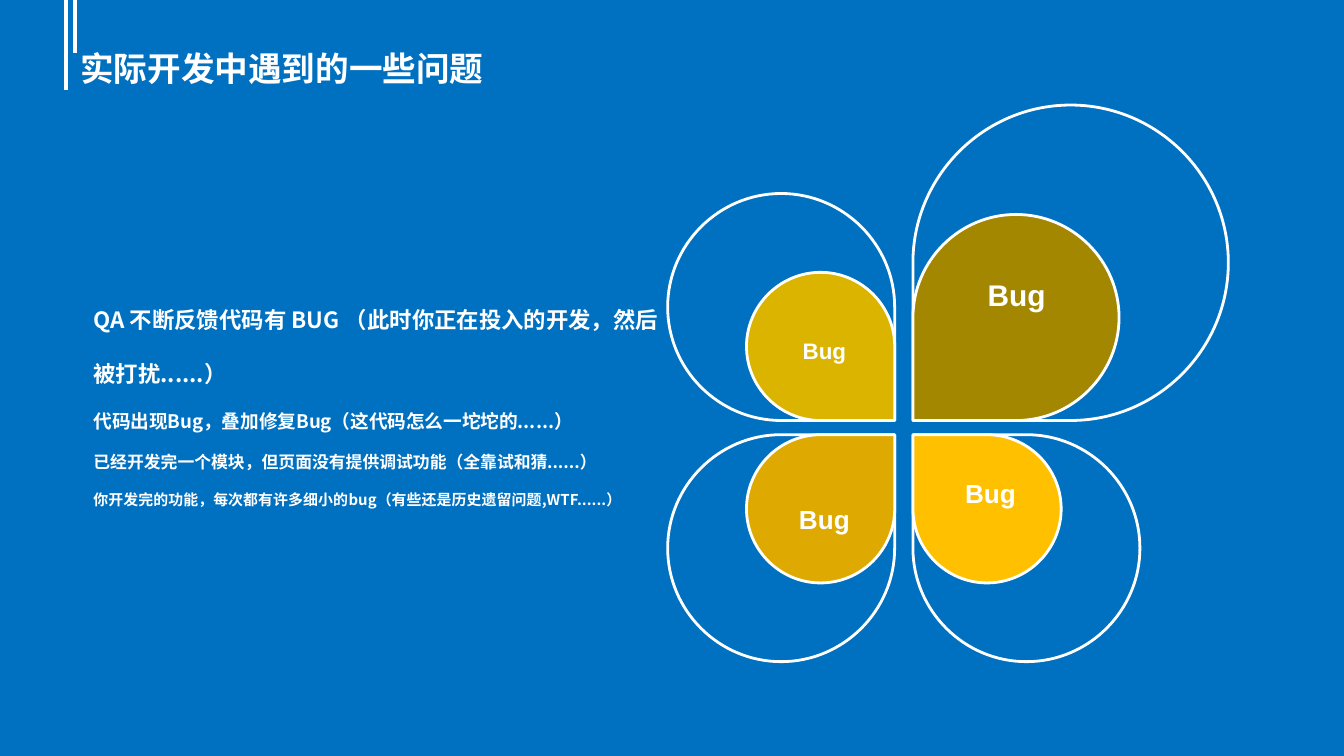
from dataclasses import dataclass

from lxml import etree
from pptx import Presentation
from pptx.dml.color import RGBColor
from pptx.enum.shapes import MSO_CONNECTOR
from pptx.enum.text import MSO_ANCHOR, MSO_AUTO_SIZE, PP_ALIGN
from pptx.oxml.ns import qn
from pptx.util import Pt

STRAIGHT = MSO_CONNECTOR.STRAIGHT
LEFT, CENTER = PP_ALIGN.LEFT, PP_ALIGN.CENTER
TOP, MIDDLE = MSO_ANCHOR.TOP, MSO_ANCHOR.MIDDLE
FIT_TEXT, FIXED = MSO_AUTO_SIZE.SHAPE_TO_FIT_TEXT, MSO_AUTO_SIZE.NONE
ARC_PULL = 0.55  # control point distance for a quarter circle
ROUND_LEGS = (0, 3, 4)  # legs of a petal outline that are arcs


@dataclass(frozen=True)
class Theme:
    background: str = "0070C0"
    white: str = "FFFFFF"
    olive: str = "A48700"
    amber: str = "FFC000"
    ochre: str = "DEA900"
    mustard: str = "DBB400"
    title_font: str = "DejaVu Sans"
    label_font: str = "Arial"
    chinese_font: str = "Noto Sans CJK SC"
    title_size: int = 18
    body_sizes: tuple = (12, 10, 9, 8)
    rule_width: float = 2.25
    outline_width: float = 1.5


def color(value):
    return RGBColor.from_string(value)


def write(para, text, *, size, font, ea_font, text_color, align=LEFT, spacing=None):
    """Add one bold run with its paragraph format."""
    para.alignment = align
    if spacing:
        para.line_spacing = spacing
    span = para.add_run()
    span.text = text
    span.font.size = Pt(size)
    span.font.bold = True
    span.font.name = font
    span.font.color.rgb = color(text_color)
    east_asian = etree.SubElement(span.font._element, qn("a:ea"))
    east_asian.set("typeface", ea_font)


def round_legs(shape):
    """Turn the round legs of a petal outline into quarter circles."""
    outline = next(shape._element.iter(qn("a:path")))
    middle = int(outline.get("w")) / 2, int(outline.get("h")) / 2
    points = [(int(point.get("x")), int(point.get("y")))
              for point in outline.iter(qn("a:pt"))]
    legs = outline.findall(qn("a:lnTo"))
    for index in ROUND_LEGS:
        start, end = points[index], points[index + 1]
        corner = [a + b - m for a, b, m in zip(start, end, middle)]
        controls = [[p + ARC_PULL * (c - p) for p, c in zip(point, corner)]
                    for point in (start, end)]
        curve = etree.Element(qn("a:cubicBezTo"))
        for x, y in (*controls, end):
            etree.SubElement(curve, qn("a:pt"), x=str(round(x)), y=str(round(y)))
        outline.replace(legs[index], curve)


class SlideBuilder:
    def __init__(self, slide, theme):
        self.slide = slide
        self.theme = theme
        fill = slide.background.fill
        fill.solid()
        fill.fore_color.rgb = color(theme.background)

    def outline(self, line, width):
        line.color.rgb = color(self.theme.white)
        line.width = Pt(width)

    def rule(self, x, length):
        """Vertical line hanging from the top edge."""
        rule = self.slide.shapes.add_connector(STRAIGHT, Pt(x), 0, Pt(x), Pt(length))
        self.outline(rule.line, self.theme.rule_width)
        etree.SubElement(rule._element.spPr, qn("a:effectLst"))

    def petal(self, tip, direction, size, fill=None):
        """Circle with one square corner at tip, spreading along direction."""
        half = size / 2
        start, *stops = [
            (Pt(tip[0] + direction[0] * u * half), Pt(tip[1] + direction[1] * v * half))
            for u, v in [(1, 2), (0, 1), (0, 0), (1, 0), (2, 1), (1, 2)]
        ]
        builder = self.slide.shapes.build_freeform(*start, scale=1.0)
        builder.add_line_segments(stops, close=True)
        petal = builder.convert_to_shape()
        round_legs(petal)
        petal.shadow.inherit = False
        if fill:
            petal.fill.solid()
            petal.fill.fore_color.rgb = color(fill)
        else:
            petal.fill.background()
        self.outline(petal.line, self.theme.outline_width)

    def text(self, left, top, width, height, lines, *, font, ea_font=None,
             align=LEFT, anchor=TOP, spacing=None, fit=FIT_TEXT):
        """Text box with one paragraph for each (text, size) pair."""
        box = self.slide.shapes.add_textbox(Pt(left), Pt(top), Pt(width), Pt(height))
        frame = box.text_frame
        frame.word_wrap = True
        frame.auto_size = fit
        frame.vertical_anchor = anchor
        for index, (text, size) in enumerate(lines):
            para = frame.add_paragraph() if index else frame.paragraphs[0]
            write(para, text, size=size, font=font, ea_font=ea_font or font,
                  text_color=self.theme.white, align=align, spacing=spacing)


def main():
    theme = Theme()
    deck = Presentation()
    deck.slide_width, deck.slide_height = Pt(720), Pt(405)
    page = SlideBuilder(deck.slides.add_slide(deck.slide_layouts[6]), theme)

    # Title with its two rules
    page.rule(35.4, 48.2)
    page.rule(40.2, 28.2)
    page.text(36, 16.6, 648, 40, [("实际开发中遇到的一些问题", theme.title_size)],
              font=theme.title_font, ea_font=theme.chinese_font,
              anchor=MIDDLE, fit=FIXED)

    # Petals: direction, outer size, inner size, inner fill
    petals = [
        ((1, -1), 169, 110.4, theme.olive),
        ((1, 1), 121.6, 79.4, theme.amber),
        ((-1, 1), 121.6, 79.4, theme.ochre),
        ((-1, -1), 121.6, 79.4, theme.mustard),
    ]
    center_x, center_y, gap_x, gap_y = 484.2, 229.1, 9.8, 7.6

    def tip(direction):
        return center_x + direction[0] * gap_x / 2, center_y + direction[1] * gap_y / 2

    for direction, outer, _, _ in petals:
        page.petal(tip(direction), direction, outer)
    for direction, _, inner, fill in petals:
        page.petal(tip(direction), direction, inner, fill)

    # Petal labels: left, top, height, type size
    for left, top, height, size in [
        (399.9, 177.2, 21.6, 12),
        (502.9, 144.8, 26.6, 16),
        (399.9, 266.1, 24, 14),
        (488.9, 252.2, 24, 14),
    ]:
        page.text(left, top, 83.5, height, [("Bug", size)],
                  font=theme.label_font, align=CENTER)

    # Problem list
    problems = [
        "QA 不断反馈代码有 BUG （此时你正在投入的开发，然后被打扰......）",
        "代码出现Bug，叠加修复Bug（这代码怎么一坨坨的......）",
        "已经开发完一个模块，但页面没有提供调试功能（全靠试和猜......）",
        "你开发完的功能，每次都有许多细小的bug（有些还是历史遗留问题,WTF......）",
    ]
    page.text(43, 146.2, 321.8, 129.6, list(zip(problems, theme.body_sizes)),
              font=theme.chinese_font, spacing=2.0)

    deck.save("out.pptx")


if __name__ == "__main__":
    main()
